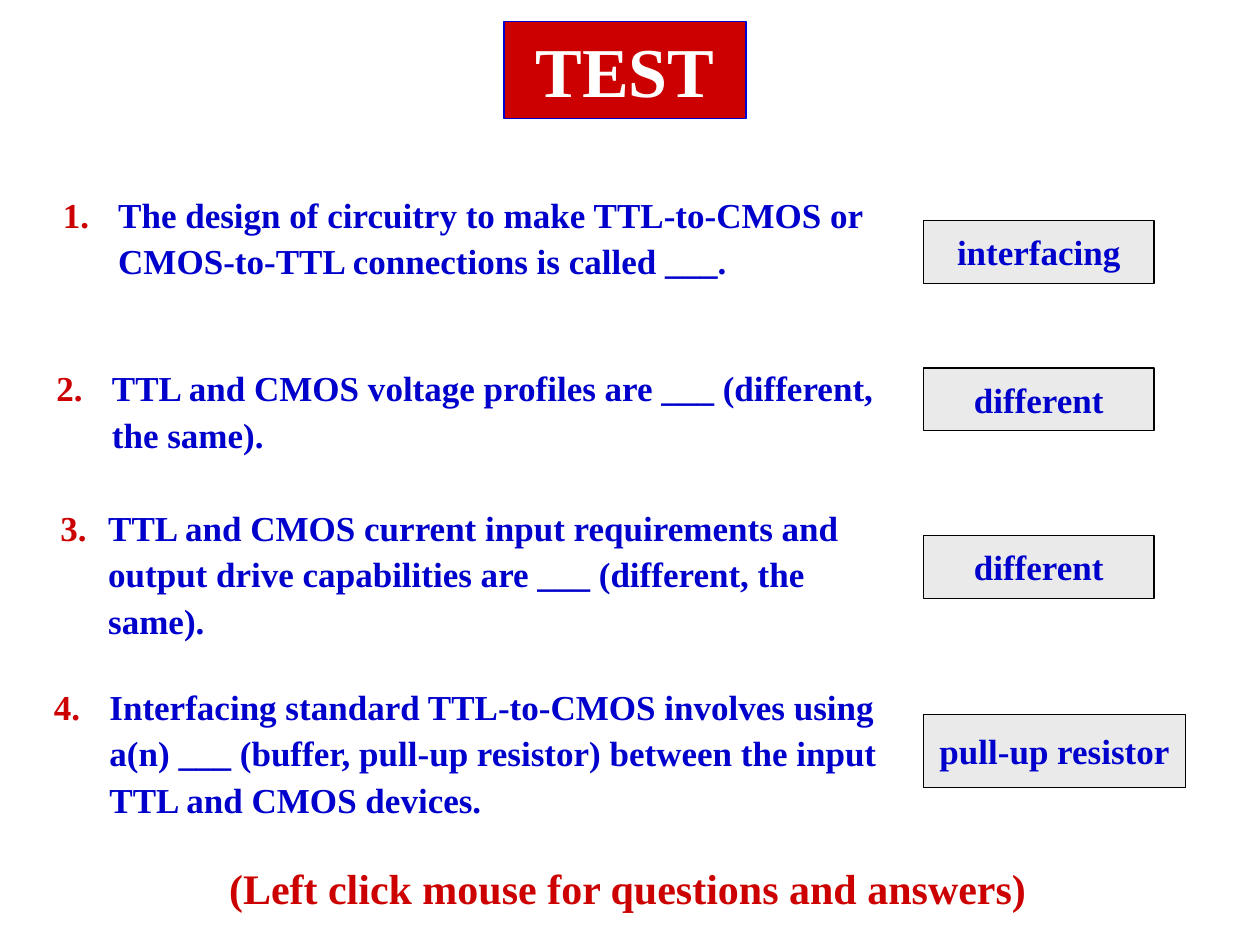
from lxml.etree import SubElement
from pptx import Presentation
from pptx.dml.color import RGBColor
from pptx.enum.shapes import MSO_SHAPE
from pptx.enum.text import MSO_ANCHOR, MSO_AUTO_SIZE, PP_ALIGN
from pptx.oxml.ns import qn
from pptx.util import Inches, Pt

RED, BLUE, WHITE, GRAY, BLACK = "CC0000", "0000CC", "FFFFFF", "EAEAEA", "000000"


def rgb(color):
    return RGBColor.from_string(color)


def write(shape, text, size, color, align=PP_ALIGN.LEFT):
    """Fill the shape with one bold paragraph and return that paragraph."""
    shape.text_frame.text = text
    paragraph = shape.text_frame.paragraphs[0]
    paragraph.alignment = align
    paragraph.font.name = "Times New Roman"
    paragraph.font.size = Pt(size)
    paragraph.font.bold = True
    paragraph.font.color.rgb = rgb(color)
    return paragraph


presentation = Presentation()
presentation.slide_width = Inches(10)
presentation.slide_height = Inches(7.5)
slide = presentation.slides.add_slide(presentation.slide_layouts[5])

title = slide.shapes.title
title.left, title.top = Inches(4), Inches(0.17)
title.width, title.height = Inches(1.92), Inches(0.77)
title.fill.solid()
title.fill.fore_color.rgb = rgb(RED)
title.line.color.rgb = rgb(BLUE)
title.line.width = Pt(0.75)
title.text_frame.auto_size = MSO_AUTO_SIZE.NONE
title.text_frame.vertical_anchor = MSO_ANCHOR.TOP
write(title, "TEST", 40, WHITE, PP_ALIGN.CENTER)

# Question, its left, top, width, height and hanging indent
questions = [
    ("The design of circuitry to make TTL-to-CMOS or CMOS-to-TTL connections "
     "is called ___.", 0.4, 1.45, 6.67, 0.84, 0.44),
    ("TTL and CMOS voltage profiles are ___ (different, the same).",
     0.35, 2.83, 6.73, 0.84, 0.44),
    ("TTL and CMOS current input requirements and output drive capabilities "
     "are ___ (different, the same).", 0.38, 3.94, 6.48, 1.2, 0.38),
    ("Interfacing standard TTL-to-CMOS involves using a(n) ___ (buffer, "
     "pull-up resistor) between the input TTL and CMOS devices.",
     0.33, 5.36, 6.75, 1.2, 0.44),
]
for number, (text, left, top, width, height, indent) in enumerate(questions, 1):
    question = slide.shapes.add_textbox(
        Inches(left), Inches(top), Inches(width), Inches(height))
    question.text_frame.word_wrap = True
    paragraph = write(question, text, 20, BLUE)
    paragraph.line_spacing = 1.1
    properties = paragraph._p.get_or_add_pPr()
    properties.set("marL", str(Inches(indent)))
    properties.set("indent", str(-Inches(indent)))
    bullet_color = SubElement(properties, qn("a:buClr"))
    SubElement(bullet_color, qn("a:srgbClr"), val=RED)
    SubElement(properties, qn("a:buFont"), typeface="Times New Roman")
    SubElement(properties, qn("a:buAutoNum"), type="arabicPeriod", startAt=str(number))
    properties.append(properties.find(qn("a:defRPr")))  # must follow the bullet

# Answer, its top, width and height
answers = [
    ("interfacing", 1.75, 1.83, 0.5),
    ("different", 2.92, 1.83, 0.5),
    ("different", 4.25, 1.83, 0.5),
    ("pull-up resistor", 5.67, 2.08, 0.58),
]
for text, top, width, height in answers:
    answer = slide.shapes.add_shape(
        MSO_SHAPE.RECTANGLE, Inches(7.33), Inches(top), Inches(width), Inches(height))
    answer.shadow.inherit = False
    answer.fill.solid()
    answer.fill.fore_color.rgb = rgb(GRAY)
    answer.line.color.rgb = rgb(BLACK)
    answer.line.width = Pt(0.75)
    answer.text_frame.word_wrap = False
    answer.text_frame.vertical_anchor = MSO_ANCHOR.MIDDLE
    write(answer, text, 20, BLUE, PP_ALIGN.CENTER)

hint = slide.shapes.add_textbox(Inches(1.72), Inches(6.8), Inches(6.53), Inches(0.5))
hint.text_frame.word_wrap = False
write(hint, "(Left click mouse for questions and answers)", 24, RED)

presentation.save("out.pptx")
